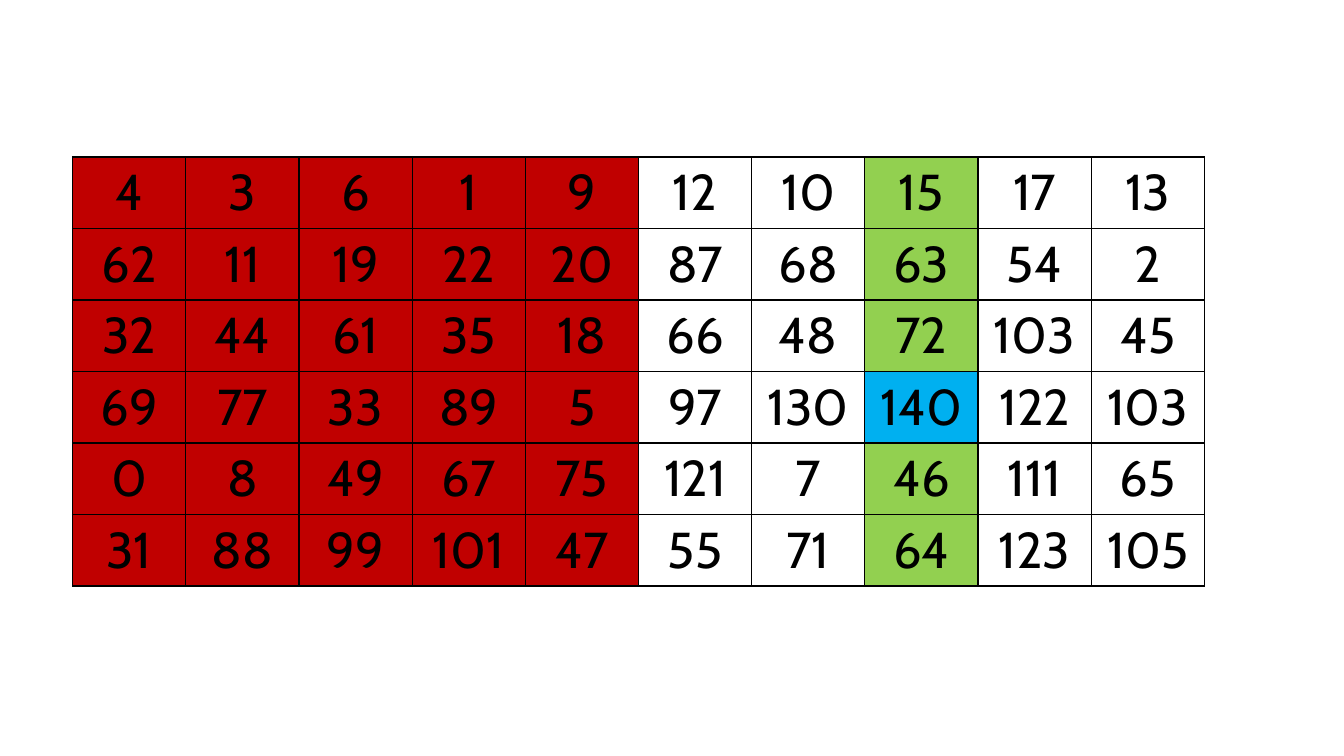
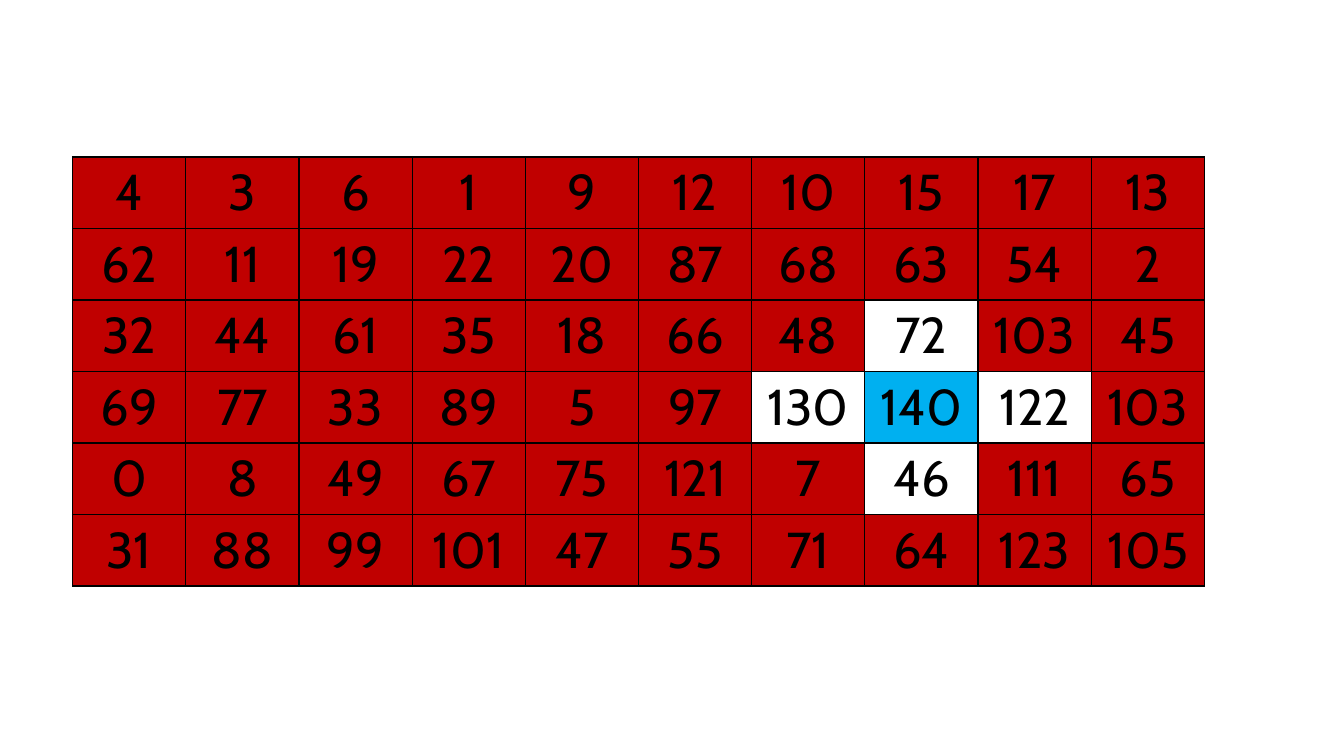
from pptx import Presentation
from pptx import util as u
from pptx.dml import color
from pptx.enum import text
from pptx.oxml import ns
from lxml import etree

COLOURS = {
    "ink": "000000",
    "plain": "FFFFFF",
    "excluded": "C00000",
    "column": "92D050",
    "peak": "00B0F0",
}
NUMBERS = [
    [4, 3, 6, 1, 9, 12, 10, 15, 17, 13],
    [62, 11, 19, 22, 20, 87, 68, 63, 54, 2],
    [32, 44, 61, 35, 18, 66, 48, 72, 103, 45],
    [69, 77, 33, 89, 5, 97, 130, 140, 122, 103],
    [0, 8, 49, 67, 75, 121, 7, 46, 111, 65],
    [31, 88, 99, 101, 47, 55, 71, 64, 123, 105],
]
PEAK_ROW, PEAK_COLUMN = 3, 7
EXCLUDED_COLUMNS = 5


class Slides:
    font = "Cabin"
    size = 36
    border = 1
    left, top = 51.84, 112.2
    column_width, row_height = 80.85, 51

    def __init__(self):
        self.deck = Presentation()
        self.deck.slide_width = u.Pt(960)
        self.deck.slide_height = u.Pt(540)
        self.page = None

    def add_page(self):
        self.page = self.deck.slides.add_slide(self.deck.slide_layouts[6])

    def rgb(self, name):
        return color.RGBColor.from_string(COLOURS[name])

    def add_borders(self, cell):
        properties = cell._tc.get_or_add_tcPr()
        for side in ("lnL", "lnR", "lnT", "lnB"):
            line = etree.SubElement(properties, ns.qn(f"a:{side}"), w=str(u.Pt(self.border)))
            fill = etree.SubElement(line, ns.qn("a:solidFill"))
            etree.SubElement(fill, ns.qn("a:srgbClr"), val=COLOURS["ink"])

    def format_cell(self, cell, number, fill):
        self.add_borders(cell)
        cell.fill.solid()
        cell.fill.fore_color.rgb = self.rgb(fill)
        para = cell.text_frame.paragraphs[0]
        para.text = str(number)
        para.alignment = text.PP_ALIGN.CENTER
        font = para.runs[0].font
        font.name = self.font
        font.size = u.Pt(self.size)
        font.color.rgb = self.rgb("ink")

    def add_grid(self, numbers, choose_fill):
        rows, columns = len(numbers), len(numbers[0])
        frame = self.page.shapes.add_table(
            rows, columns, u.Pt(self.left), u.Pt(self.top),
            u.Pt(self.column_width * columns), u.Pt(self.row_height * rows))
        table = frame.table
        table.first_row = False
        table.horz_banding = False
        for column in table.columns:
            column.width = u.Pt(self.column_width)
        for row, values in enumerate(numbers):
            table.rows[row].height = u.Pt(self.row_height)
            for column, number in enumerate(values):
                self.format_cell(table.cell(row, column), number, choose_fill(row, column))


def column_search_fill(row, column):
    if column < EXCLUDED_COLUMNS:
        return "excluded"
    if column != PEAK_COLUMN:
        return "plain"
    return "peak" if row == PEAK_ROW else "column"


def neighbour_fill(row, column):
    distance = abs(row - PEAK_ROW) + abs(column - PEAK_COLUMN)
    return {0: "peak", 1: "plain"}.get(distance, "excluded")


def main():
    slides = Slides()
    for choose_fill in (column_search_fill, neighbour_fill):
        slides.add_page()
        slides.add_grid(NUMBERS, choose_fill)
    slides.deck.save("out.pptx")


if __name__ == "__main__":
    main()
